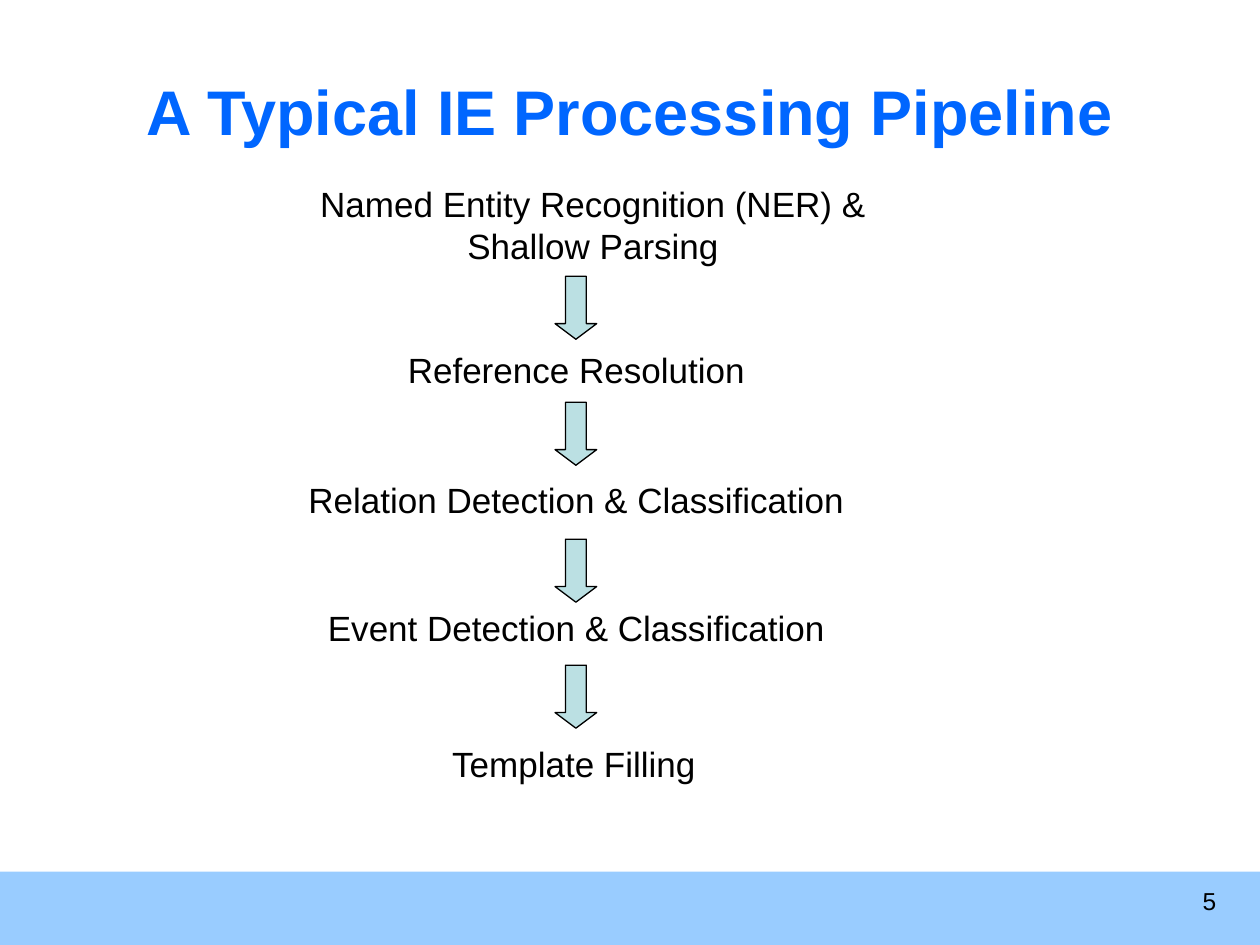
from pptx import Presentation
from pptx.dml.color import RGBColor
from pptx.enum.shapes import MSO_SHAPE as SHAPE
from pptx.enum.text import MSO_ANCHOR as ANCHOR, MSO_AUTO_SIZE as AUTO, PP_ALIGN as ALIGN
from pptx.util import Cm, Pt

COLORS = {"title": "0066FF", "text": "000000", "band": "99CCFF", "arrow": "BBE0E3"}
STEPS = [
    ("Named Entity Recognition (NER) &\vShallow Parsing", 6.2, 3.56, 11.51, 1.96),
    ("Reference Resolution", 7.92, 6.91, 7.4, 1.12),
    ("Relation Detection & Classification", 5.92, 9.53, 11.4, 1.12),
    ("Event Detection & Classification", 6.32, 12.11, 10.6, 1.12),
    ("Template Filling", 8.8, 14.84, 5.54, 1.12),
]
ARROW_TOPS = [5.57, 8.11, 10.87, 13.41]


def color(name):
    return RGBColor.from_string(COLORS[name])


def write(tf, text, size, align, name="text", bold=False):
    tf.text = text
    p = tf.paragraphs[0]
    p.alignment = align
    for r in p.runs:
        r.font.name = "Arial"
        r.font.size = Pt(size)
        r.font.bold = bold
        r.font.color.rgb = color(name)


def set_title(s, text):
    sp = s.shapes.title
    sp.left, sp.top, sp.width, sp.height = Cm(1.27), Cm(0.64), Cm(22.86), Cm(3.18)
    write(sp.text_frame, text, 36, ALIGN.CENTER, "title", True)
    sp.text_frame.vertical_anchor = ANCHOR.MIDDLE


def add_text(s, text, x, y, w, h, size=20, align=ALIGN.CENTER, wrap=False):
    tf = s.shapes.add_textbox(Cm(x), Cm(y), Cm(w), Cm(h)).text_frame
    tf.word_wrap = wrap
    tf.auto_size = AUTO.NONE if wrap else AUTO.SHAPE_TO_FIT_TEXT
    write(tf, text, size, align)


def add_shape(s, kind, x, y, w, h, fill):
    sp = s.shapes.add_shape(kind, Cm(x), Cm(y), Cm(w), Cm(h))
    sp.shadow.inherit = False
    sp.fill.solid()
    sp.fill.fore_color.rgb = color(fill)
    sp.line.fill.background()
    return sp


def add_down_arrow(s, y):
    sp = add_shape(s, SHAPE.DOWN_ARROW, 11.19, y, 0.84, 1.27, "arrow")
    sp.adjustments[0] = 0.5
    sp.adjustments[1] = 0.375
    sp.line.color.rgb = color("text")
    sp.line.width = Pt(0.75)


def main():
    """Build the information extraction pipeline slide."""
    prs = Presentation()
    prs.slide_width, prs.slide_height = Cm(25.4), Cm(19.05)
    s = prs.slides.add_slide(prs.slide_layouts[5])
    add_shape(s, SHAPE.RECTANGLE, 0, 17.57, 25.4, 1.48, "band")
    add_text(s, "5", 18.85, 17.73, 5.92, 1.32, 14, ALIGN.RIGHT, True)
    set_title(s, "A Typical IE Processing Pipeline")
    for step in STEPS:
        add_text(s, *step)
    for top in ARROW_TOPS:
        add_down_arrow(s, top)
    prs.save("out.pptx")


if __name__ == "__main__":
    main()
